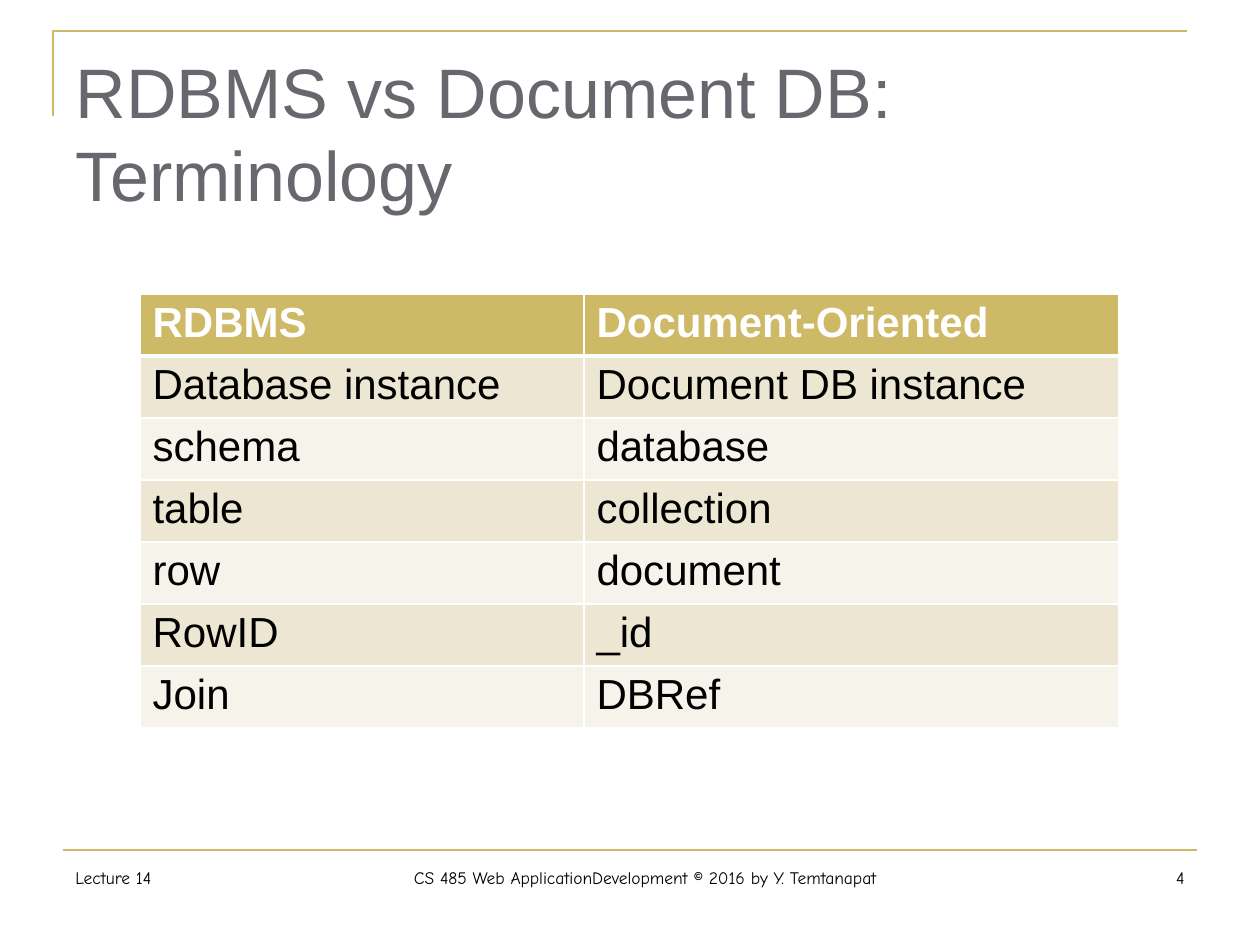
from lxml import etree
from pptx import Presentation
from pptx import util as u
from pptx.dml.color import RGBColor
from pptx.enum import shapes, text
from pptx.oxml.ns import qn

# Content
TITLE = "RDBMS vs Document DB: Terminology"
TERMS = [
    ("RDBMS", "Document-Oriented"),
    ("Database instance", "Document DB instance"),
    ("schema", "database"),
    ("table", "collection"),
    ("row", "document"),
    ("RowID", "_id"),
    ("Join", "DBRef"),
]
ALIGN = text.PP_ALIGN
FOOTERS = [  # wording, width, alignment
    ("Lecture 14", 203, ALIGN.LEFT),
    ("CS 485 Web ApplicationDevelopment © 2016 by Y. Temtanapat", 758, ALIGN.CENTER),
    ("4", 173, ALIGN.RIGHT),
]

# Look
GOLD, GREY, WHITE, BLACK = "CEB966", "69676D", "FFFFFF", "000000"
BANDS = ("F6F3EA", "EDE6D3")
COLUMNS, ROW_HEIGHT = (444, 535), 62
MARGIN = 63


def px(n):
    return round(n * 914400 / 126)


def colour(value):
    return RGBColor.from_string(value)


def write(frame, wording, size, font="Arial", color=BLACK, bold=False,
          align=ALIGN.LEFT, spacing=None):
    frame.word_wrap = True
    frame.vertical_anchor = text.MSO_ANCHOR.TOP
    paragraph = frame.paragraphs[0]
    paragraph.alignment = align
    if spacing:
        paragraph.line_spacing = u.Pt(spacing)
    run = paragraph.add_run()
    run.text = wording
    run.font.size, run.font.name, run.font.bold = u.Pt(size), font, bold
    run.font.color.rgb = colour(color)


def style_rule(rule):
    rule.line.color.rgb = colour(GOLD)
    rule.line.width = u.Pt(1.5)


def border(cell, **widths):
    properties = cell._tc.get_or_add_tcPr()
    for place, (side, width) in enumerate(widths.items()):
        line = etree.Element(qn(f"a:ln{side}"), w=str(u.Pt(width)))
        fill = etree.SubElement(line, qn("a:solidFill"))
        etree.SubElement(fill, qn("a:srgbClr"), val=WHITE)
        properties.insert(place, line)


prs = Presentation()
prs.slide_width, prs.slide_height = px(1260), px(945)
slide = prs.slides.add_slide(prs.slide_layouts[5])

# Corner rule above the title
outline = slide.shapes.build_freeform(px(53), px(116))
outline.add_line_segments([(px(53), px(31)), (px(1187), px(31))], close=False)
corner = outline.convert_to_shape()
corner.fill.background()
corner.shadow.inherit = False
style_rule(corner)

# Footer rule
footer_rule = slide.shapes.add_connector(
    shapes.MSO_CONNECTOR.STRAIGHT, px(MARGIN), px(850), px(1260 - MARGIN), px(850))
style_rule(footer_rule)
etree.SubElement(footer_rule._element.spPr, qn("a:effectLst"))

# Title
title = slide.shapes.title
title.left, title.top, title.width, title.height = px(MARGIN), px(38), px(1134), px(158)
title.text_frame.auto_size = text.MSO_AUTO_SIZE.NONE
title.text_frame.margin_top = px(10)
write(title.text_frame, TITLE, 40, color=GREY, spacing=48)

# Terminology table
table = slide.shapes.add_table(
    len(TERMS), len(COLUMNS), px(140), px(294),
    px(sum(COLUMNS)), px(ROW_HEIGHT * len(TERMS))).table
for column, width in zip(table.columns, COLUMNS):
    column.width = px(width)
for r, terms in enumerate(TERMS):
    header = r == 0
    table.rows[r].height = px(ROW_HEIGHT)
    for c, term in enumerate(terms):
        cell = table.cell(r, c)
        cell.margin_top = cell.margin_bottom = px(6)
        cell.fill.solid()
        cell.fill.fore_color.rgb = colour(GOLD if header else BANDS[r % 2])
        border(cell, L=1, R=1, T=3 if r == 1 else 1, B=3 if header else 1)
        write(cell.text_frame, term, 24, color=WHITE if header else BLACK, bold=header)

# Footers, side by side
left = MARGIN
for wording, width, align in FOOTERS:
    footer = slide.shapes.add_textbox(px(left), px(861), px(width), px(63))
    write(footer.text_frame, wording, 10, font="Comic Neue", align=align)
    left += width

prs.save("out.pptx")
